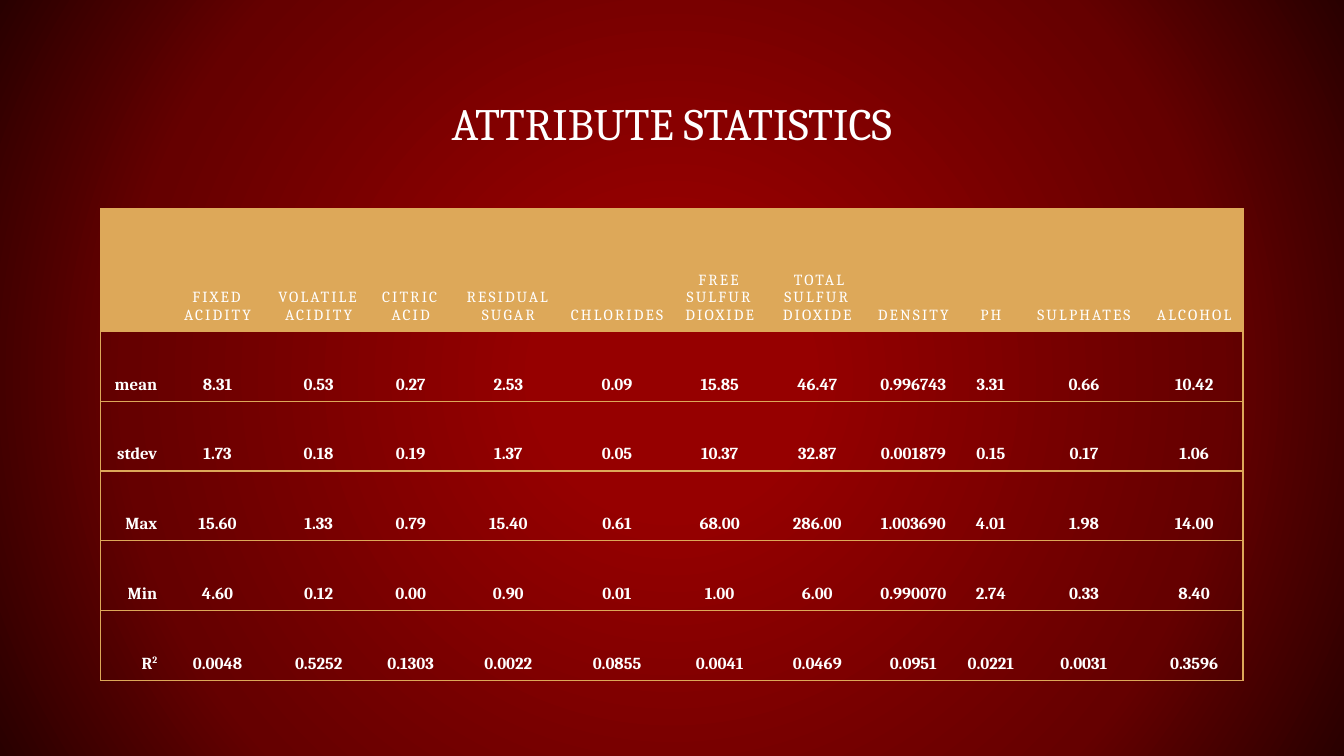
from dataclasses import dataclass

from pptx import Presentation, util as u
from pptx.dml.color import RGBColor
from pptx.enum import text
from pptx.oxml import parse_xml
from pptx.oxml.ns import nsdecls, qn


@dataclass(frozen=True)
class Theme:
    """Colours, font and type sizes of the slide."""
    font: str = "Cambria"
    white: str = "FFFFFF"
    gold: str = "DDA859"
    glow: tuple = ((17, "960000"), (71, "650000"), (100, "290000"))
    title_size: int = 32
    header_size: int = 11
    value_size: int = 12
    header_spacing: float = 1.5
    rule_width: int = 1


THEME = Theme()
PLAIN_TABLE = "{2D5ABB26-0587-4C30-8999-92F81FD0307C}"

ATTRIBUTES = ["", "FIXED ACIDITY", "VOLATILE ACIDITY", "CITRIC ACID", "RESIDUAL SUGAR",
              "CHLORIDES", "FREE SULFUR DIOXIDE", " TOTAL SULFUR DIOXIDE", "DENSITY",
              "PH", "SULPHATES", "ALCOHOL"]
STATISTICS = [
    "mean 8.31 0.53 0.27 2.53 0.09 15.85 46.47 0.996743 3.31 0.66 10.42",
    "stdev 1.73 0.18 0.19 1.37 0.05 10.37 32.87 0.001879 0.15 0.17 1.06",
    "Max 15.60 1.33 0.79 15.40 0.61 68.00 286.00 1.003690 4.01 1.98 14.00",
    "Min 4.60 0.12 0.00 0.90 0.01 1.00 6.00 0.990070 2.74 0.33 8.40",
    "R 0.0048 0.5252 0.1303 0.0022 0.0855 0.0041 0.0469 0.0951 0.0221 0.0031 0.3596",
]
COLUMN_SHARES = [0.63, 1.06, 0.95, 0.88, 1.06, 1.1, 0.94, 1, 0.91, 0.63, 1.22, 0.97]
HEADER_HEIGHT = 1.22


def paint_background(slide):
    """Fill the slide with a radial glow from its centre."""
    slide.background.fill.gradient()
    gradient = next(slide.element.iter(qn("a:gradFill")))
    stops = "".join(f'<a:gs pos="{place * 1000}"><a:srgbClr val="{color}"/></a:gs>'
                    for place, color in THEME.glow)
    gradient.getparent().replace(gradient, parse_xml(
        f'<a:gradFill {nsdecls("a")} rotWithShape="1"><a:gsLst>{stops}</a:gsLst>'
        '<a:path path="circle"><a:fillToRect l="50000" t="50000" r="50000" b="50000"/>'
        '</a:path></a:gradFill>'))


def style_font(font, size, bold=False):
    """Apply the theme's face and colour at the given size."""
    font.name, font.size, font.bold = THEME.font, u.Pt(size), bold
    font.color.rgb = RGBColor.from_string(THEME.white)


def add_title(slide, wording, left, top, width, height):
    """Place the title placeholder in the given box."""
    title = slide.shapes.title
    title.left, title.top, title.width, title.height = map(u.Inches, (left, top, width, height))
    frame = title.text_frame
    frame.text = wording
    frame.word_wrap = True
    frame.auto_size = text.MSO_AUTO_SIZE.NONE
    frame.vertical_anchor = text.MSO_ANCHOR.BOTTOM
    frame.margin_left = frame.margin_right = u.Inches(0.13)
    frame.margin_top = frame.margin_bottom = u.Inches(0.07)
    heading = frame.paragraphs[0]
    heading.alignment = text.PP_ALIGN.CENTER
    heading.line_spacing = 0.8
    style_font(heading.font, THEME.title_size)


def rule_cell(cell, sides):
    """Draw gold rules on the given sides, a subset of 'LRTB' in that order."""
    properties = cell._tc.get_or_add_tcPr()
    for side in sides:
        properties.append(parse_xml(
            f'<a:ln{side} {nsdecls("a")} w="{u.Pt(THEME.rule_width)}"><a:solidFill>'
            f'<a:srgbClr val="{THEME.gold}"/></a:solidFill></a:ln{side}>'))


def fill_cell(cell, wording, is_header, is_label):
    """Write one cell as a column header, a row label or a value."""
    cell.vertical_anchor = text.MSO_ANCHOR.BOTTOM
    cell.margin_left = cell.margin_right = u.Inches(0.07)
    cell.margin_top = cell.margin_bottom = u.Inches(0.07)
    cell.text = wording
    entry = cell.text_frame.paragraphs[0]
    entry.alignment = text.PP_ALIGN.RIGHT if is_label else text.PP_ALIGN.CENTER
    if is_header:
        style_font(entry.font, THEME.header_size)
        entry.font._element.set("spc", str(int(THEME.header_spacing * 100)))
        cell.fill.solid()
        cell.fill.fore_color.rgb = RGBColor.from_string(THEME.gold)
    else:
        style_font(entry.font, THEME.value_size, bold=True)
        cell.fill.background()


def add_statistics(slide, left, top, width, height):
    """Build the attribute table in the given box."""
    rows = [ATTRIBUTES] + [line.split() for line in STATISTICS]
    last_column = len(ATTRIBUTES) - 1
    frame = slide.shapes.add_table(len(rows), len(ATTRIBUTES),
                                   *map(u.Inches, (left, top, width, height)))
    table = frame.table
    table.horz_banding = False
    next(frame.element.iter(qn("a:tableStyleId"))).text = PLAIN_TABLE
    for column, share in zip(table.columns, COLUMN_SHARES):
        column.width = u.Inches(width * share / sum(COLUMN_SHARES))
    for r, row in enumerate(rows):
        table.rows[r].height = u.Inches(
            (height - HEADER_HEIGHT) / len(STATISTICS) if r else HEADER_HEIGHT)
        for c, wording in enumerate(row):
            cell = table.cell(r, c)
            rule_cell(cell, "L" * (c == 0) + "R" * (c == last_column) + "TB")
            fill_cell(cell, wording, is_header=r == 0, is_label=c == 0)
    square = table.cell(len(STATISTICS), 0).text_frame.paragraphs[0].add_run()
    square.text = "2"
    square.font._element.set("baseline", "30000")


def main():
    """Build and save the slide."""
    deck = Presentation()
    deck.slide_width, deck.slide_height = u.Inches(13.33), u.Inches(7.5)
    slide = deck.slides.add_slide(deck.slide_layouts[5])
    paint_background(slide)
    add_title(slide, "ATTRIBUTE STATISTICS", 1, 0.53, 11.33, 1.02)
    add_statistics(slide, 1, 2.07, 11.33, 4.68)
    deck.save("out.pptx")


main()
